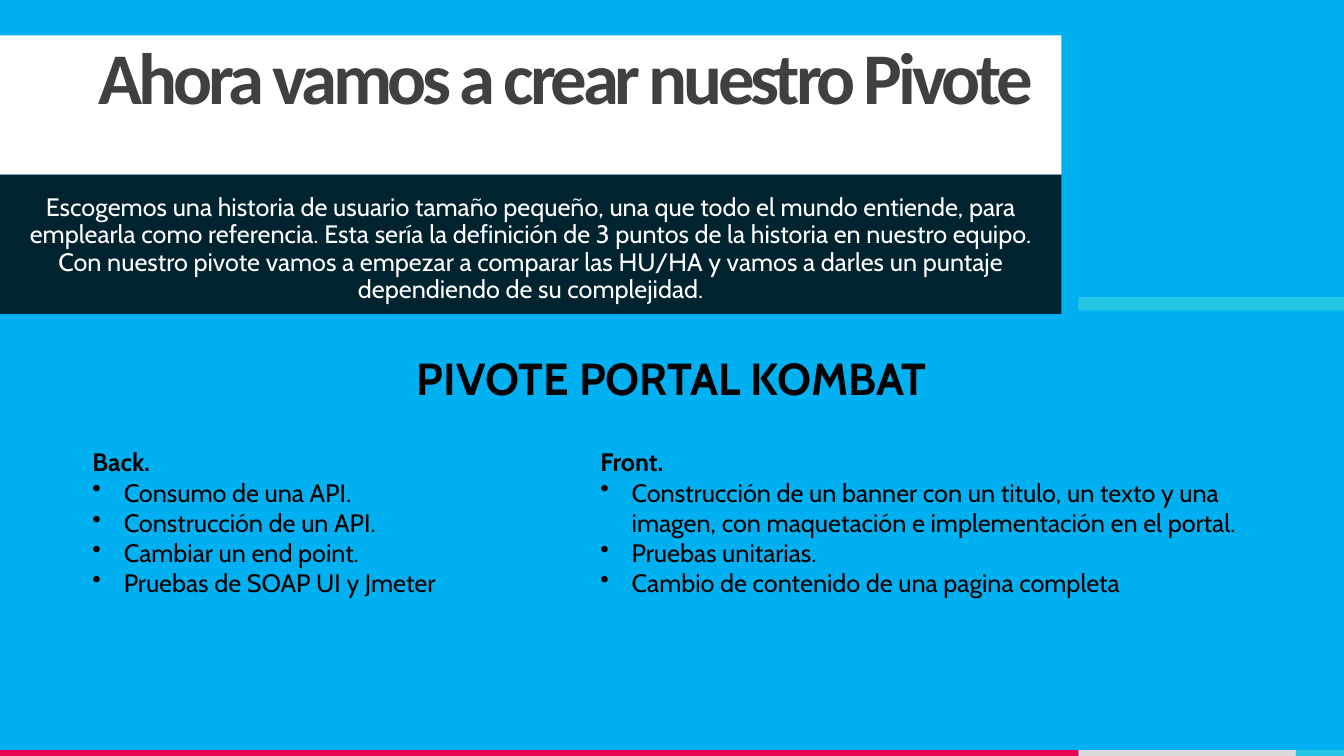
"""Build the slide that introduces the pivot user story."""
from lxml import etree
from pptx import Presentation
from pptx.dml.color import RGBColor
from pptx.enum.shapes import MSO_SHAPE
from pptx.enum.text import MSO_ANCHOR, PP_ALIGN
from pptx.oxml.ns import qn
from pptx.util import Cm, Pt

RECT = MSO_SHAPE.RECTANGLE
TOP = MSO_ANCHOR.TOP
LEFT, CENTER, RIGHT = PP_ALIGN.LEFT, PP_ALIGN.CENTER, PP_ALIGN.RIGHT

COLORS = {
    "sky": "00B0F0", "gray": "DADADA", "pink": "E80554", "cyan": "25C6E3",
    "white": "FFFFFF", "black": "000000", "dark": "404040",
}
TITLE_FONT = {"name": "Calibri", "size": Pt(52), "bold": True}
BODY_FONT = {"name": "Cabin", "size": Pt(18), "bold": False}
LABEL_FONT = {**BODY_FONT, "bold": True}
HEADING_FONT = {**LABEL_FONT, "size": Pt(32)}

SLIDE_W, SLIDE_H = 33.87, 19.05
PANEL_W, PANEL_H, PANEL_TOP = 26.75, 3.51, 0.89
SPLIT_X, CYAN_X = 27.18, 32.66
STRIP_H = 0.15
STRIP_Y = SLIDE_H - STRIP_H
BARS = [
    (SPLIT_X, STRIP_Y, CYAN_X - SPLIT_X, STRIP_H, "gray"),
    (0, STRIP_Y, SPLIT_X, STRIP_H, "pink"),
    (CYAN_X, STRIP_Y, SLIDE_W - CYAN_X, STRIP_H, "cyan"),
    (SPLIT_X, 7.49, SLIDE_W - SPLIT_X, 0.33, "cyan"),
]

TITLE = "Ahora vamos a crear nuestro Pivote"
INTRO = (
    "Escogemos una historia de usuario tamaño pequeño, una que todo el mundo "
    "entiende, para emplearla como referencia. Esta sería la definición de 3 "
    "puntos de la historia en nuestro equipo. Con nuestro pivote vamos a empezar "
    "a comparar las HU/HA y vamos a darles un puntaje dependiendo de su complejidad."
)
HEADING = "PIVOTE PORTAL KOMBAT"
LIST_Y = 11.13
LISTS = [
    (2.08, 10.16, 4.88, "Back.", [
        "Consumo de una API.",
        "Construcción de un API.",
        "Cambiar un end point.",
        "Pruebas de SOAP UI y Jmeter",
    ]),
    (14.88, 17.2, 5.64, "Front.", [
        "Construcción de un banner con un titulo, un texto y una imagen, "
        "con maquetación e implementación en el portal.",
        "Pruebas unitarias.",
        "Cambio de contenido de una pagina completa",
    ]),
]


def rgb(name):
    """Return the named colour."""
    return RGBColor.from_string(COLORS[name])


def add_bar(s, x, y, w, h, color):
    """Add a plain filled rectangle."""
    sp = s.shapes.add_shape(RECT, Cm(x), Cm(y), Cm(w), Cm(h))
    sp.shadow.inherit = False
    sp.fill.solid()
    sp.fill.fore_color.rgb = rgb(color)
    sp.line.fill.background()
    return sp


def set_alpha(sp, percent):
    """Set the opacity of a solid fill."""
    clr = sp.fill._xPr.find(qn("a:solidFill"))[0]
    etree.SubElement(clr, qn("a:alpha")).set("val", str(percent * 1000))


def add_bullet(p):
    """Give a paragraph a hanging bullet."""
    pPr = p._p.get_or_add_pPr()
    pPr.set("marL", str(Cm(0.79)))
    pPr.set("indent", str(-Cm(0.79)))
    etree.SubElement(pPr, qn("a:buChar")).set("char", "•")


def write(p, text, fmt, color, align=LEFT):
    """Fill a paragraph with one formatted run."""
    p.alignment = align
    r = p.add_run()
    r.text = text
    for key, value in fmt.items():
        setattr(r.font, key, value)
    r.font.color.rgb = rgb(color)
    return r


def add_panel(s, y, fill, text, fmt, color, align, spacing, right):
    """Add a wide panel with top-anchored text."""
    sp = add_bar(s, 0, y, PANEL_W, PANEL_H, fill)
    tf = sp.text_frame
    frame = {
        "word_wrap": True, "vertical_anchor": TOP, "margin_left": Cm(0.51),
        "margin_top": Cm(0.51), "margin_bottom": Cm(0.51), "margin_right": Cm(right),
    }
    for key, value in frame.items():
        setattr(tf, key, value)
    p = tf.paragraphs[0]
    p.line_spacing = spacing
    return sp, write(p, text, fmt, color, align)


def add_text(s, x, y, w, h):
    """Add a wrapping text box and return its frame."""
    tf = s.shapes.add_textbox(Cm(x), Cm(y), Cm(w), Cm(h)).text_frame
    tf.word_wrap = True
    return tf


def add_list(s, x, w, h, label, items):
    """Add a bold label followed by bullets."""
    tf = add_text(s, x, LIST_Y, w, h)
    write(tf.paragraphs[0], label, LABEL_FONT, "black")
    for item in items:
        p = tf.add_paragraph()
        add_bullet(p)
        write(p, item, BODY_FONT, "black")


def main():
    """Build and save the slide."""
    prs = Presentation()
    prs.slide_width, prs.slide_height = Cm(SLIDE_W), Cm(SLIDE_H)
    s = prs.slides.add_slide(prs.slide_layouts[6])
    s.background.fill.solid()
    s.background.fill.fore_color.rgb = rgb("sky")
    for bar in BARS:
        add_bar(s, *bar)
    _, r = add_panel(s, PANEL_TOP, "white", TITLE, TITLE_FONT, "dark", RIGHT, 0.7, 0.71)
    r.font._element.set("spc", "-300")
    sp, _ = add_panel(s, PANEL_TOP + PANEL_H, "black", INTRO, BODY_FONT, "white",
                      CENTER, 0.9, 0.51)
    set_alpha(sp, 80)
    tf = add_text(s, 3.84, 8.71, 26.19, 1.63)
    write(tf.paragraphs[0], HEADING, HEADING_FONT, "black", CENTER)
    for column in LISTS:
        add_list(s, *column)
    prs.save("out.pptx")


if __name__ == "__main__":
    main()
